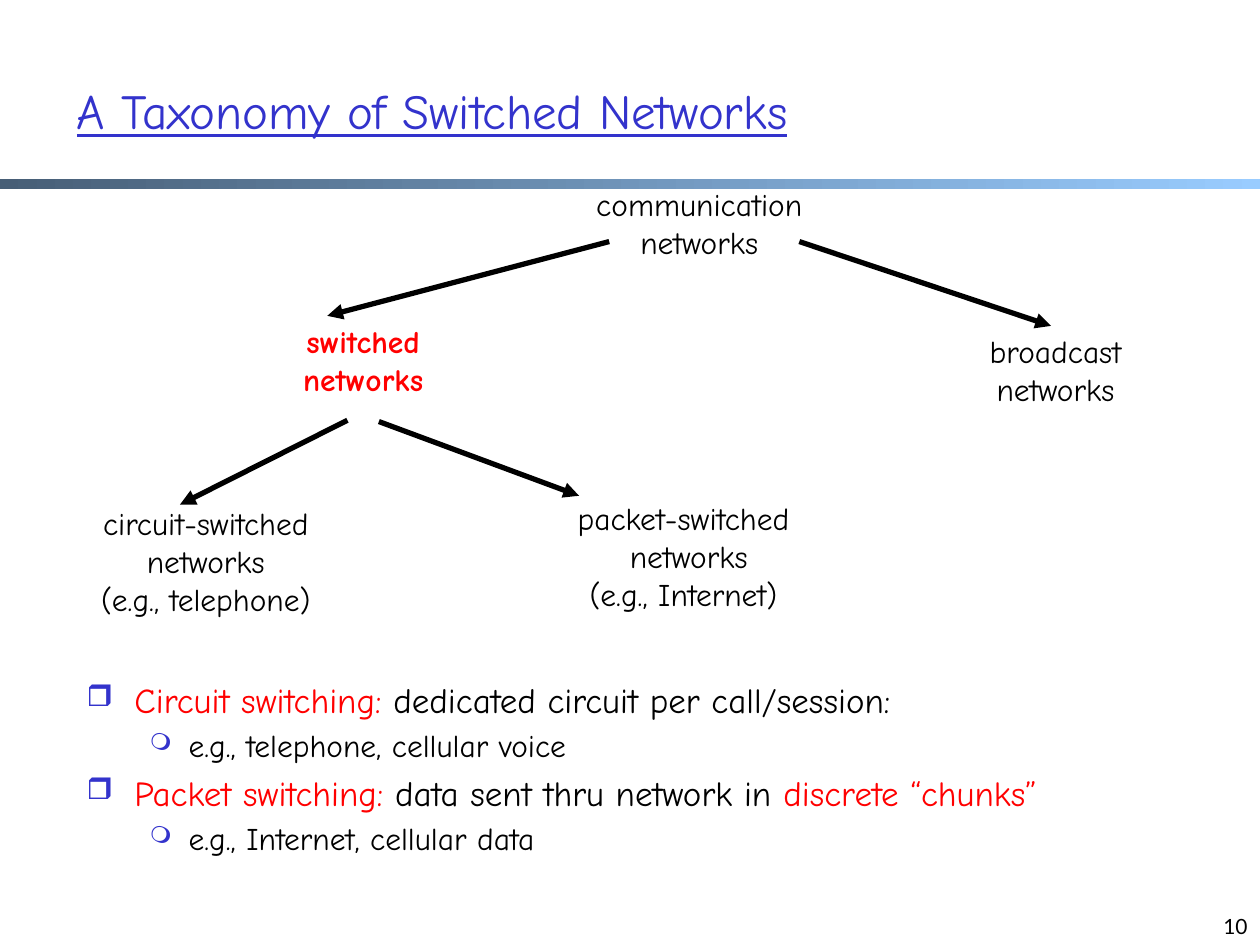
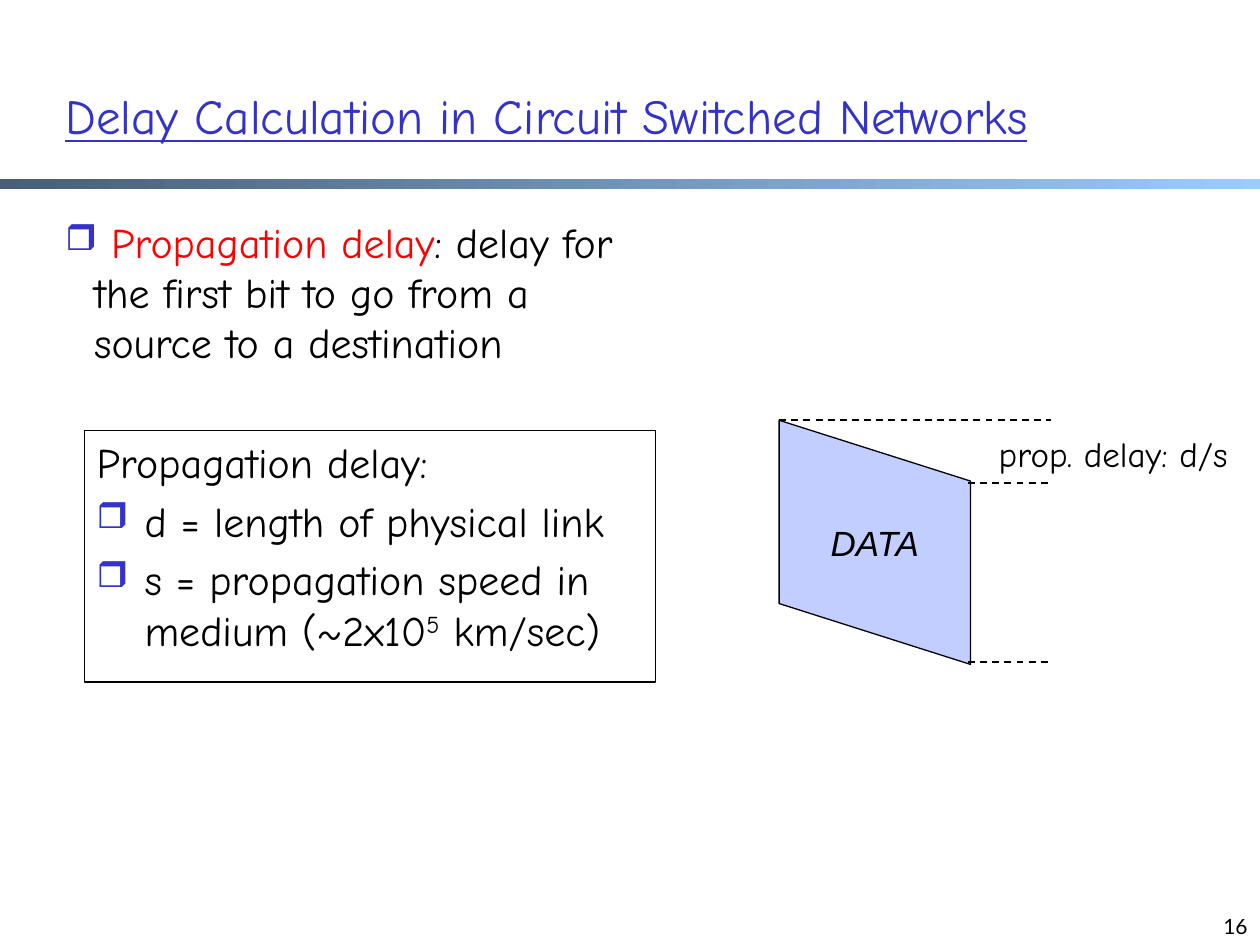
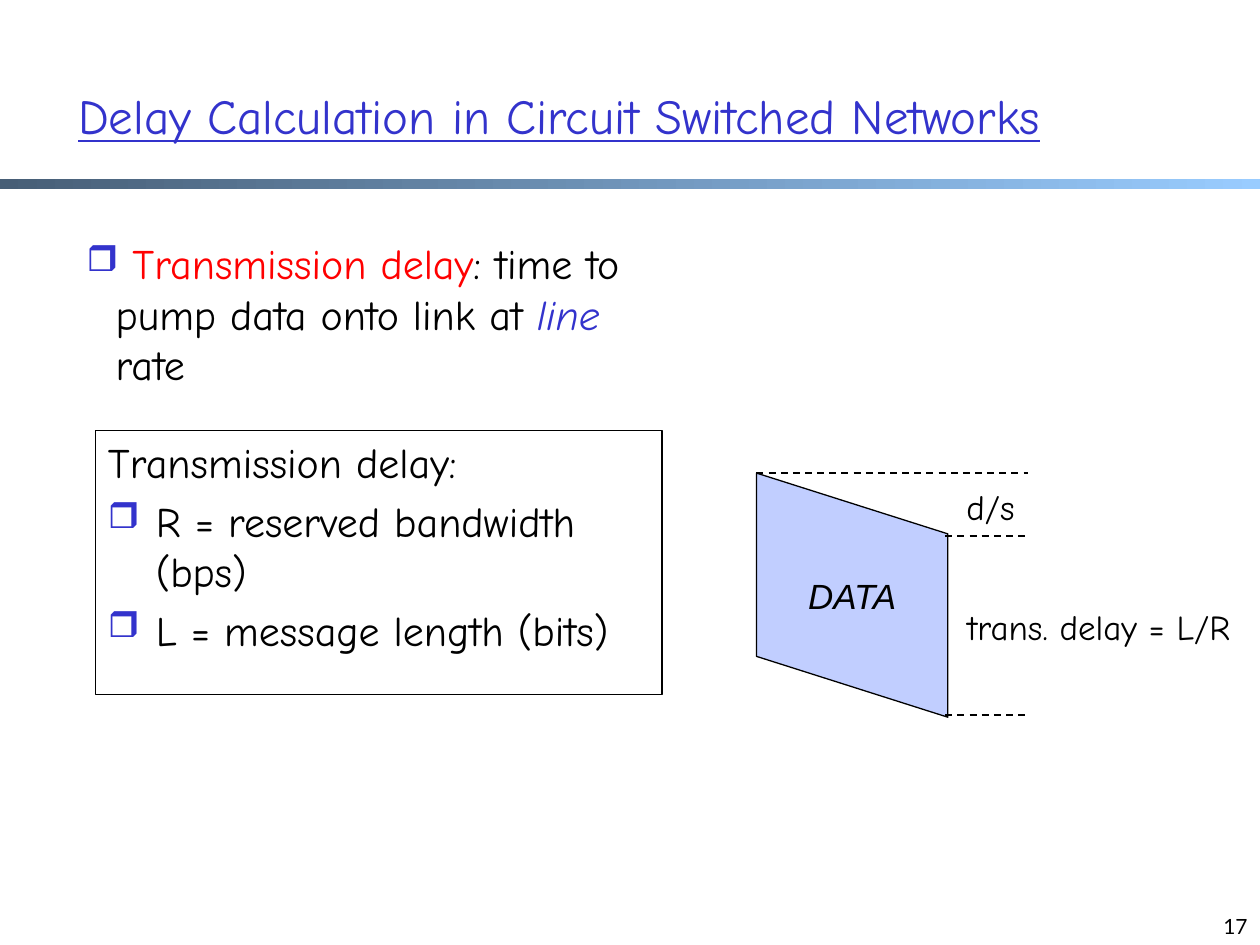
import pptx
import pptx.util
import pptx.dml.color
import pptx.enum.dml
import pptx.enum.shapes
import pptx.enum.text
import pptx.oxml
import pptx.oxml.ns

Inches, Pt = pptx.util.Inches, pptx.util.Pt
ALIGN, ANCHOR = pptx.enum.text.PP_ALIGN, pptx.enum.text.MSO_ANCHOR
SHAPES = pptx.enum.shapes.MSO_SHAPE

COLORS = {"blue": "3333CC", "red": "FF0000", "black": "000000", "data": "C1CEFF",
          "band_start": "475E76", "band_end": "99CCFF"}
FONT = "Comic Neue"
SLIDE_SIZE = (10.01, 7.51)
BAND = (0, 1.42, 10.01, 0.08)
NUMBER_BOX = (7.68, 7.01, 2.33, 0.5)

# Bullet styles: character, size in percent, left margin, hanging indent
SQUARE = ("❒", 85, 0.38, 0.38)
CIRCLE = ("❍", 75, 0.81, 0.31)
INTRO = ("❒", 85, 0.23, 0.23)

# Paragraphs: (bullet, size, runs); a run is (text, color, extras)
TAXONOMY = {
    "title": "A Taxonomy of Switched Networks", "number": "10",
    "title_box": (0.51, 0.59, 8.51, 0.66), "anchor": ANCHOR.TOP,
    "nodes": [
        ("communication networks", (4.43, 1.42, 2.25, 0.7), "black"),
        ("switched\nnetworks", (1.76, 2.51, 2.25, 0.7), "red"),
        ("broadcast\nnetworks", (7.26, 2.59, 2.25, 0.7), "black"),
        ("circuit-switched\nnetworks\n(e.g., telephone)", (0.51, 3.96, 2.25, 1.01), "black"),
        ("packet-switched\n networks\n(e.g., Internet)", (3.6, 3.92, 3.66, 1), "black"),
    ],
    "arrows": [
        (4.84, 1.92, 2.6, 2.51), (6.35, 1.92, 8.35, 2.59),
        (2.76, 3.34, 1.43, 4.01), (3.01, 3.35, 4.6, 3.94),
    ],
    "list_box": (0.59, 5.34, 9, 1.67),
    "list": [
        (SQUARE, 20, [("Circuit switching:", "red", {}),
                      (" dedicated circuit per call/session:", "black", {})]),
        (CIRCLE, 18, [("e.g., telephone, cellular voice", "black", {})]),
        (SQUARE, 20, [("Packet switching:", "red", {}),
                      (" data sent thru network in ", "black", {}),
                      ("discrete “chunks”", "red", {})]),
        (CIRCLE, 18, [("e.g., Internet, cellular data", "black", {})]),
    ],
}

DELAY_TITLE = "Delay Calculation in Circuit Switched Networks"
DELAYS = [
    {
        "title": DELAY_TITLE, "number": "16",
        "title_box": (0.42, 0.29, 8.99, 1.25), "anchor": ANCHOR.MIDDLE,
        "intro_box": (0.42, 1.67, 4.92, 1.31),
        "intro": [(INTRO, 24, [
            (" Propagation delay", "red", {}),
            (": delay for the first bit to go from a source to a destination", "black", {})])],
        "terms_box": (0.67, 3.42, 4.54, 2),
        "terms": [
            (None, 24, [("Propagation delay:", "black", {})]),
            (SQUARE, 24, [("d = length of physical link", "black", {})]),
            (SQUARE, 24, [("s = propagation speed in medium (~2x10", "black", {}),
                          ("5", "black", {"baseline": "30000"}),
                          (" km/sec)", "black", {})]),
        ],
        "data_corner": (6.19, 3.34),
        "labels": [("prop. delay: d/s", (7.73, 3.39, 2.23, 0.44))],
    },
    {
        "title": DELAY_TITLE, "number": "17",
        "title_box": (0.52, 0.29, 8.99, 1.25), "anchor": ANCHOR.MIDDLE,
        "intro_box": (0.59, 1.84, 4.5, 1.31),
        "intro": [(INTRO, 24, [
            (" Transmission delay", "red", {}),
            (": time to pump data onto link at ", "black", {}),
            ("line ", "blue", {"i": "1"}),
            ("rate", "black", {})])],
        "terms_box": (0.76, 3.42, 4.5, 2.1),
        "terms": [
            (None, 24, [("Transmission delay:", "black", {})]),
            (SQUARE, 24, [("R = reserved bandwidth (bps)", "black", {})]),
            (SQUARE, 24, [("L = message length (bits)", "black", {})]),
        ],
        "data_corner": (6.01, 3.76),
        "labels": [("d/s", (7.55, 3.81, 0.64, 0.43)),
                   ("trans. delay = L/R", (7.44, 4.76, 2.58, 0.44))],
    },
]

DATA_WIDTH, DATA_HEIGHT, DATA_SLANT = 1.52, 1.94, 0.318
# Dashed guides: start x and y relative to the data corner; all end at GUIDE_END
GUIDES = [(0, 0), (1.5, 0.5), (1.5, 1.92)]
GUIDE_END = 2.16


def rgb(name):
    return pptx.dml.color.RGBColor.from_string(COLORS[name])


def inches(values):
    return [Inches(value) for value in values]


def set_font(font, size, color="black", name=FONT):
    font.name, font.size = name, Pt(size)
    font.color.rgb = rgb(color)


def add_xml(parent, tag, **attributes):
    element = pptx.oxml.parse_xml(f"<a:{tag} {pptx.oxml.ns.nsdecls('a')}/>")
    for key, value in attributes.items():
        element.set(key, str(value))
    parent.append(element)
    return element


def add_text(slide, text, box, size, color="black", name=FONT, align=ALIGN.CENTER, wrap=True):
    frame = slide.shapes.add_textbox(*inches(box)).text_frame
    frame.word_wrap = wrap
    paragraph = frame.paragraphs[0]
    paragraph.text = text
    paragraph.alignment = align
    set_font(paragraph.font, size, color, name)
    return frame


def fill_paragraphs(frame, paragraphs):
    """Write paragraphs of coloured runs, with hanging bullets, into a frame."""
    frame.word_wrap = True
    frame.vertical_anchor = ANCHOR.TOP
    for index, (bullet, size, runs) in enumerate(paragraphs):
        paragraph = frame.add_paragraph() if index else frame.paragraphs[0]
        paragraph.alignment = ALIGN.LEFT
        if index:
            paragraph.space_before = Pt(size * 0.2)
        if bullet:
            character, percent, margin, hanging = bullet
            properties = paragraph._p.get_or_add_pPr()
            properties.set("marL", str(Inches(margin)))
            properties.set("indent", str(-Inches(hanging)))
            add_xml(add_xml(properties, "buClr"), "srgbClr", val=COLORS["blue"])
            add_xml(properties, "buSzPct", val=percent * 1000)
            add_xml(properties, "buChar", char=character)
        paragraph.font.name, paragraph.font.size = FONT, Pt(size)
        for text, color, extras in runs:
            run = paragraph.add_run()
            run.text = text
            run.font.color.rgb = rgb(color)
            for key, value in extras.items():
                run._r.get_or_add_rPr().set(key, value)


def add_line(slide, ends, width, dashed=False, arrow=False):
    connector = slide.shapes.add_connector(
        pptx.enum.shapes.MSO_CONNECTOR.STRAIGHT, *inches(ends))
    connector.line.color.rgb = rgb("black")
    connector.line.width = Pt(width)
    if dashed:
        connector.line.dash_style = pptx.enum.dml.MSO_LINE.DASH
    if arrow:
        add_xml(connector.line._get_or_add_ln(), "tailEnd", type="triangle")
    add_xml(connector._element.spPr, "effectLst")


def add_outlined(slide, kind, box):
    shape = slide.shapes.add_shape(kind, *inches(box))
    shape.shadow.inherit = False
    shape.line.color.rgb = rgb("black")
    shape.line.width = Pt(0.75)
    return shape


def add_band(slide):
    """Draw the gradient band and move it to the layout, so every slide shows it."""
    band = slide.shapes.add_shape(SHAPES.RECTANGLE, *inches(BAND))
    band.shadow.inherit = False
    band.line.fill.background()
    band.fill.gradient()
    band.fill.gradient_angle = 0
    for stop, position, color in zip(band.fill.gradient_stops, (0, 1), ("band_start", "band_end")):
        stop.position = position
        stop.color.rgb = rgb(color)
    slide.slide_layout.shapes._spTree.append(band._element)


def add_slide(presentation, content):
    slide = presentation.slides.add_slide(presentation.slide_layouts[5])
    title = slide.shapes.title
    title.left, title.top, title.width, title.height = inches(content["title_box"])
    title.text_frame.text = content["title"]
    title.text_frame.vertical_anchor = content["anchor"]
    paragraph = title.text_frame.paragraphs[0]
    paragraph.alignment = ALIGN.LEFT
    set_font(paragraph.font, 28, "blue")
    paragraph.font.underline = True
    number = add_text(slide, content["number"], NUMBER_BOX, 12, name="Lato", align=ALIGN.RIGHT)
    number.vertical_anchor = ANCHOR.BOTTOM
    return slide


def add_data_block(slide, left, top):
    """Draw the slanted data block, a parallelogram turned a quarter, and its guides."""
    shift = (DATA_HEIGHT - DATA_WIDTH) / 2
    block = add_outlined(slide, SHAPES.PARALLELOGRAM,
                         (left - shift, top + shift, DATA_HEIGHT, DATA_WIDTH))
    block.rotation = 90
    block.adjustments[0] = DATA_SLANT
    block.fill.solid()
    block.fill.fore_color.rgb = rgb("data")
    frame = block.text_frame
    frame.word_wrap = False
    frame.vertical_anchor = ANCHOR.MIDDLE
    frame._txBody.bodyPr.set("vert", "vert270")
    paragraph = frame.paragraphs[0]
    paragraph.text = "DATA"
    paragraph.alignment = ALIGN.CENTER
    set_font(paragraph.font, 20, name="Arial")
    paragraph.font.italic = True
    for x, y in GUIDES:
        add_line(slide, (left + x, top + y, left + GUIDE_END, top + y), 1, dashed=True)


def build_taxonomy(presentation, content):
    slide = add_slide(presentation, content)
    add_band(slide)
    list_box = slide.shapes.add_textbox(*inches(content["list_box"]))
    fill_paragraphs(list_box.text_frame, content["list"])
    for text, box, color in content["nodes"]:
        frame = add_text(slide, text, box, 18, color)
        frame.paragraphs[0].font.bold = color == "red"
    for ends in content["arrows"]:
        add_line(slide, ends, 3, arrow=True)


def build_delay(presentation, content):
    slide = add_slide(presentation, content)
    terms = add_outlined(slide, SHAPES.RECTANGLE, content["terms_box"])
    terms.fill.background()
    fill_paragraphs(terms.text_frame, content["terms"])
    intro = slide.shapes.add_textbox(*inches(content["intro_box"]))
    fill_paragraphs(intro.text_frame, content["intro"])
    add_data_block(slide, *content["data_corner"])
    for text, box in content["labels"]:
        add_text(slide, text, box, 20, wrap=False)


def main():
    presentation = pptx.Presentation()
    presentation.slide_width, presentation.slide_height = inches(SLIDE_SIZE)
    build_taxonomy(presentation, TAXONOMY)
    for content in DELAYS:
        build_delay(presentation, content)
    presentation.save("out.pptx")


if __name__ == "__main__":
    main()
